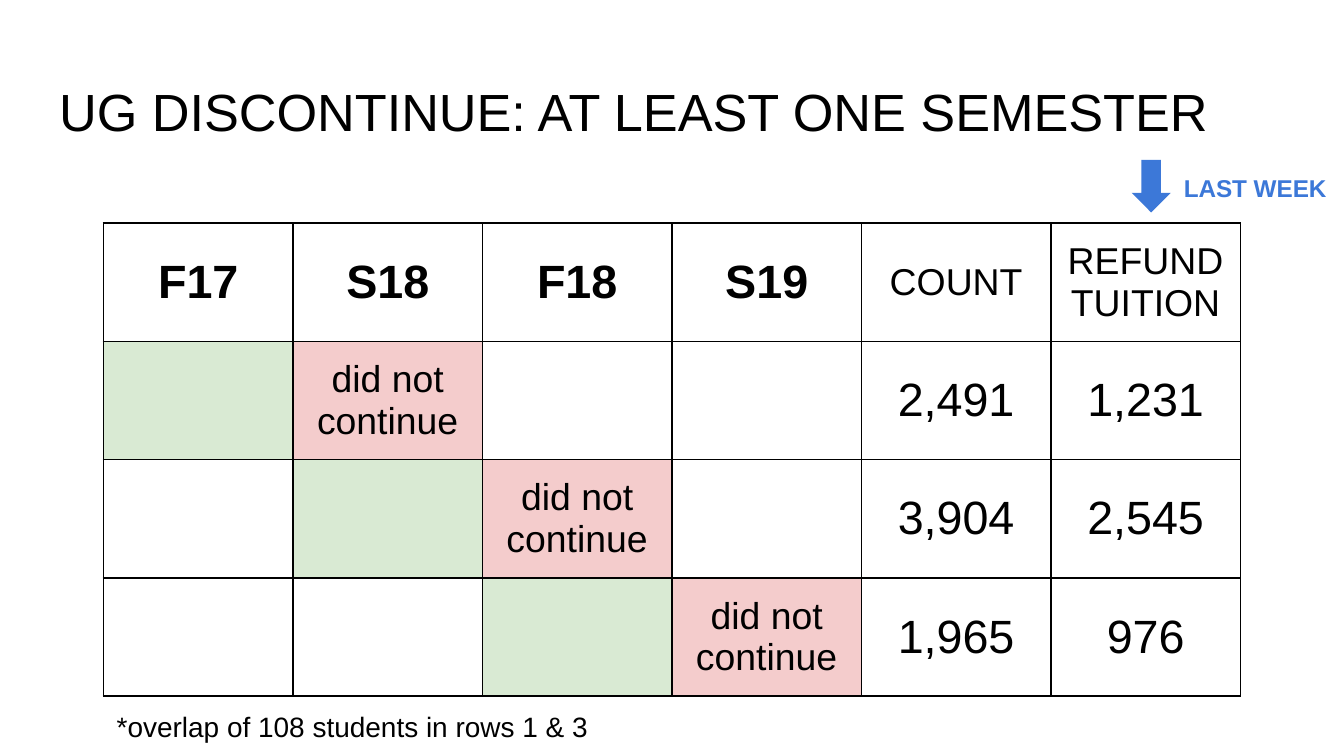
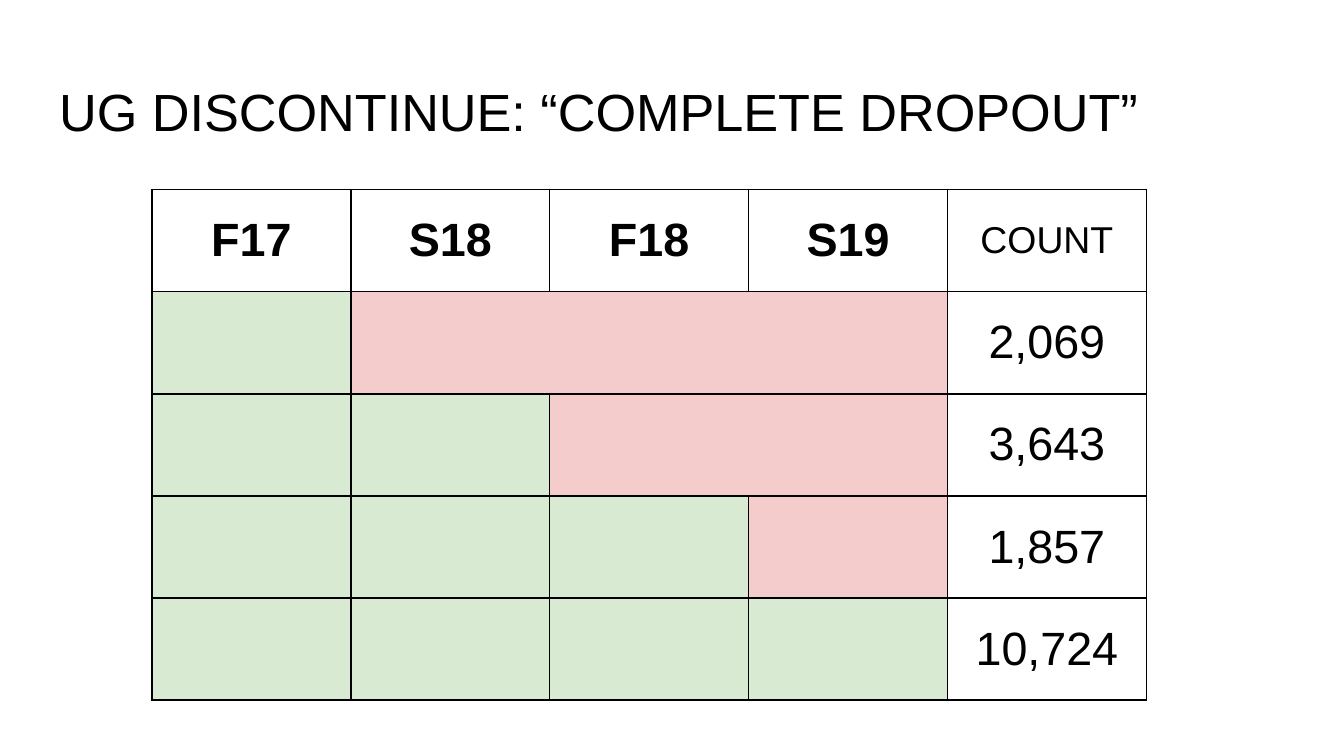
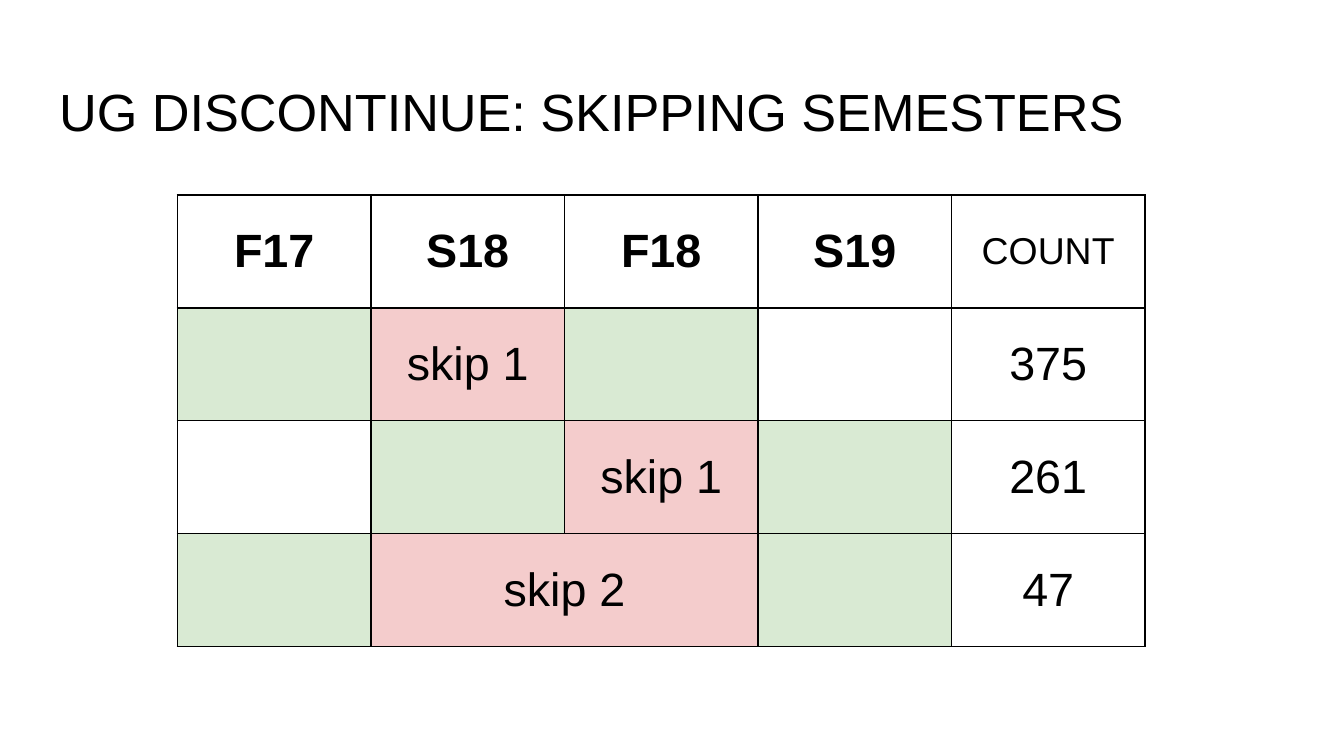
from lxml.etree import SubElement as Sub
from pptx import Presentation
from pptx.dml.color import RGBColor as RGB
from pptx.enum.shapes import MSO_SHAPE as Shape
from pptx.enum.text import MSO_ANCHOR as Anchor, MSO_AUTO_SIZE as Fit, PP_ALIGN as Align
from pptx.oxml.ns import qn
from pptx.util import Inches, Pt

BLACK = RGB(0x00, 0x00, 0x00)
WHITE = RGB(0xFF, 0xFF, 0xFF)
GREEN = RGB(0xD9, 0xEA, 0xD3)
RED = RGB(0xF4, 0xCC, 0xCC)
BLUE = RGB(0x3C, 0x78, 0xD8)

FONT = "Arial"
TERMS = ["F17", "S18", "F18", "S19"]
BIG, SMALL = 25, 20

# Marks, one per term: G enrolled, R absent, < joined to the left, . empty
FILLS = {"G": GREEN, "R": RED, "<": RED}


class Deck:
    """Holds the style and the current slide."""

    def __init__(self):
        """Start an empty 16:9 deck."""
        self.prs = Presentation()
        self.prs.slide_width = Inches(10)
        self.prs.slide_height = Inches(10) * 9 // 16
        self.slide = None

    def style(self, frame, size, color=BLACK, bold=False):
        """Format all runs of a text frame."""
        for par in frame.paragraphs:
            for run in par.runs:
                font = run.font
                font.name, font.size, font.bold = FONT, Pt(size), bold
                font.color.rgb = color

    def inset(self, frame):
        """Set the margins and top anchor of a free text frame."""
        frame.word_wrap = True
        frame.auto_size = Fit.NONE
        frame.vertical_anchor = Anchor.TOP
        frame.margin_left = frame.margin_right = Inches(0.1)
        frame.margin_top = frame.margin_bottom = Inches(0.1)

    def page(self, title):
        """Add a slide with its title."""
        self.slide = self.prs.slides.add_slide(self.prs.slide_layouts[5])
        back = self.slide.background.fill
        back.solid()
        back.fore_color.rgb = WHITE
        box = self.slide.shapes.title
        box.left, box.top = Inches(0.34), Inches(0.49)
        box.width, box.height = Inches(9.32), Inches(0.63)
        frame = box.text_frame
        frame.text = title
        self.inset(frame)
        frame.paragraphs[0].alignment = Align.LEFT
        self.style(frame, 28)

    def text(self, words, x, y, w, h, size, color=BLACK, bold=False):
        """Add a text box."""
        box = self.slide.shapes.add_textbox(Inches(x), Inches(y), Inches(w), Inches(h))
        frame = box.text_frame
        frame.text = words
        self.inset(frame)
        self.style(frame, size, color, bold)

    def arrow(self, x, y, w, h):
        """Add a blue arrow that points down."""
        mark = self.slide.shapes.add_shape(
            Shape.DOWN_ARROW, Inches(x), Inches(y), Inches(w), Inches(h))
        mark.shadow.inherit = False
        mark.fill.solid()
        mark.fill.fore_color.rgb = BLUE
        mark.line.fill.background()

    def edge(self, cell):
        """Draw thin black borders around a cell."""
        props = cell._tc.get_or_add_tcPr()
        for place, side in enumerate(("a:lnL", "a:lnR", "a:lnT", "a:lnB")):
            line = props.makeelement(qn(side), {"w": str(Pt(1))})
            fill = Sub(line, qn("a:solidFill"))
            Sub(fill, qn("a:srgbClr"), val=str(BLACK))
            props.insert(place, line)

    def cell(self, cell, words="", size=BIG, bold=False, color=None):
        """Fill, border and label one cell."""
        if color is None:
            cell.fill.background()
        else:
            cell.fill.solid()
            cell.fill.fore_color.rgb = color
        self.edge(cell)
        cell.vertical_anchor = Anchor.MIDDLE
        cell.margin_left = cell.margin_right = Inches(0.07)
        cell.margin_top = cell.margin_bottom = Inches(0.07)
        if words:
            cell.text_frame.text = words
            cell.text_frame.paragraphs[0].alignment = Align.CENTER
            self.style(cell.text_frame, size, bold=bold)

    def grid(self, x, y, w, h, heads, rows, size=BIG):
        """Add a term table; a row is its marks, its note and its numbers."""
        wide, high = len(TERMS) + len(heads), len(rows) + 1
        table = self.slide.shapes.add_table(
            high, wide, Inches(x), Inches(y), Inches(w * wide), Inches(h * high)).table
        table.first_row = table.horz_banding = False
        for col in table.columns:
            col.width = Inches(w)
        for row in table.rows:
            row.height = Inches(h)
        for c, head in enumerate(TERMS + heads):
            term = c < len(TERMS)
            self.cell(table.cell(0, c), head, BIG if term else SMALL, term)
        for r, (marks, note, *nums) in enumerate(rows, 1):
            for c, mark in enumerate(marks):
                self.cell(table.cell(r, c), note if mark == "R" else "",
                          size, color=FILLS.get(mark))
            for c, num in enumerate(nums, len(TERMS)):
                self.cell(table.cell(r, c), num)
            if "<" in marks:
                first = table.cell(r, marks.index("R"))
                first.merge(table.cell(r, marks.rindex("<")))


deck = Deck()

deck.page("UG DISCONTINUE: AT LEAST ONE SEMESTER")
gone = "did not continue"
deck.grid(0.77, 1.66, 1.41, 0.88, ["COUNT", "REFUND TUITION"], [
    ("GR..", gone, "2,491", "1,231"),
    (".GR.", gone, "3,904", "2,545"),
    ("..GR", gone, "1,965", "976"),
], SMALL)
deck.arrow(8.42, 1.19, 0.29, 0.39)
deck.text("LAST WEEK", 8.71, 1.19, 1.61, 0.75, 13, BLUE, True)
deck.text("*overlap of 108 students in rows 1 & 3", 0.77, 5.18, 3.89, 0.49, 15)

deck.page("UG DISCONTINUE: “COMPLETE DROPOUT”")
deck.grid(1.13, 1.41, 1.48, 0.76, ["COUNT"], [
    ("GR<<", "", "2,069"),
    ("GGR<", "", "3,643"),
    ("GGGR", "", "1,857"),
    ("GGGG", "", "10,724"),
])

deck.page("UG DISCONTINUE: SKIPPING SEMESTERS")
deck.grid(1.32, 1.45, 1.44, 0.84, ["COUNT"], [
    ("GRG.", "skip 1", "375"),
    (".GRG", "skip 1", "261"),
    ("GR<G", "skip 2", "47"),
])

deck.prs.save("out.pptx")
